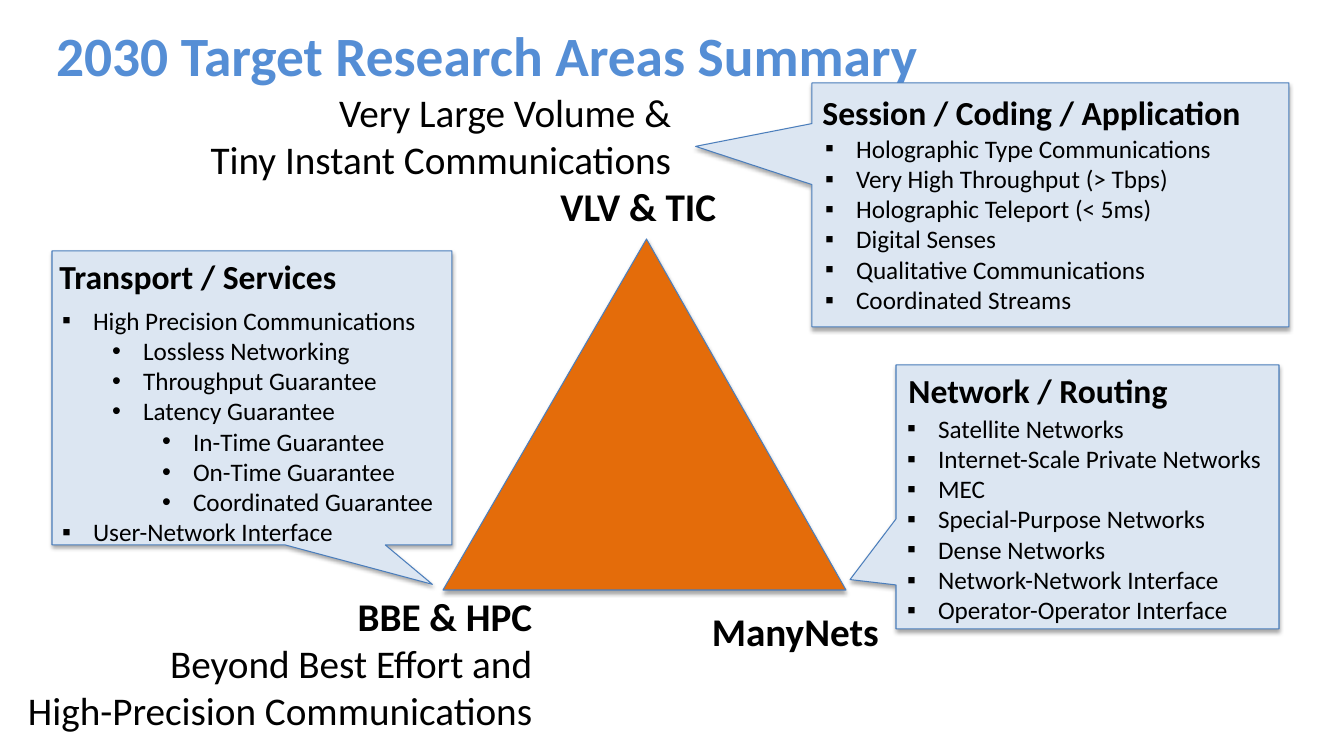
"""Build the 2030 target research areas slide."""
import dataclasses

import lxml.etree
import pptx
import pptx.dml.color
import pptx.enum.shapes
import pptx.enum.text
import pptx.oxml.ns
import pptx.util

EMU_PER_PX = 914400 / 100.8
ALIGN = pptx.enum.text.PP_ALIGN
SHAPE = pptx.enum.shapes.MSO_SHAPE
LIST_INDENT = 31
LEVEL_STEP = 50


@dataclasses.dataclass(frozen=True)
class Theme:
    """Colours, font and type sizes of the slide."""

    font: str = "Calibri"
    title: str = "558ED5"
    text: str = "000000"
    triangle: str = "E46C0A"
    callout: str = "DCE6F2"
    outline: str = "4B7EBC"
    title_size: float = 39.6
    corner_size: float = 28
    heading_size: float = 24
    list_size: float = 18


THEME = Theme()

AREAS = [
    {
        "heading": "Transport / Services",
        "heading_box": (48, 251, 300, 50),
        "callout_box": (52, 251, 400, 294),
        "tip": (0.451, 0.634),
        "list_box": (52, 300, 399, 234),
        "placeholder": 1,
        "items": [
            (0, "High Precision Communications"),
            (1, "Lossless Networking"),
            (1, "Throughput Guarantee"),
            (1, "Latency Guarantee"),
            (2, "In-Time Guarantee"),
            (2, "On-Time Guarantee"),
            (2, "Coordinated Guarantee"),
            (0, "User-Network Interface"),
        ],
    },
    {
        "heading": "Session / Coding / Application",
        "heading_box": (810, 87, 443, 50),
        "callout_box": (812, 83, 477, 244),
        "tip": (-0.744, -0.24),
        "list_box": (815, 128, 411, 187),
        "placeholder": 2,
        "items": [
            (0, "Holographic Type Communications"),
            (0, "Very High Throughput (> Tbps)"),
            (0, "Holographic Teleport (< 5ms)"),
            (0, "Digital Senses"),
            (0, "Qualitative Communications"),
            (0, "Coordinated Streams"),
        ],
    },
    {
        "heading": "Network / Routing",
        "heading_box": (897, 365, 282, 50),
        "callout_box": (896, 365, 383, 264),
        "tip": (-0.62, 0.313),
        "list_box": (897, 408, 379, 224),
        "placeholder": 4,
        "items": [
            (0, "Satellite Networks"),
            (0, "Internet-Scale Private Networks"),
            (0, "MEC"),
            (0, "Special-Purpose Networks"),
            (0, "Dense Networks"),
            (0, "Network-Network Interface"),
            (0, "Operator-Operator Interface"),
        ],
    },
]


def px(length):
    """Turn pixels into EMU."""
    return pptx.util.Emu(round(length * EMU_PER_PX))


def rgb(value):
    """Turn a hexadecimal value into a colour."""
    return pptx.dml.color.RGBColor.from_string(value)


def place(shape, box):
    """Move and size a shape to a pixel box."""
    shape.left, shape.top, shape.width, shape.height = map(px, box)


def format_paragraph(paragraph, size, bold=False, color=THEME.text, align=ALIGN.LEFT):
    """Format a paragraph and its runs."""
    paragraph.alignment = align
    paragraph.space_before = pptx.util.Pt(0)
    for run in paragraph.runs:
        run.font.name = THEME.font
        run.font.size = pptx.util.Pt(size)
        run.font.bold = bold
        run.font.color.rgb = rgb(color)


def set_title(slide, text, box):
    """Fill and format the title placeholder."""
    title = slide.shapes.title
    place(title, box)
    title.text_frame.text = text
    title.text_frame.vertical_anchor = pptx.enum.text.MSO_ANCHOR.MIDDLE
    title.text_frame.auto_size = pptx.enum.text.MSO_AUTO_SIZE.NONE
    format_paragraph(title.text_frame.paragraphs[0], THEME.title_size, True, THEME.title)


def add_shadow(shape):
    """Give a shape a soft shadow straight below it."""
    shape.shadow.inherit = False
    effects = shape.element.spPr.find(pptx.oxml.ns.qn("a:effectLst"))
    shadow = lxml.etree.SubElement(
        effects, pptx.oxml.ns.qn("a:outerShdw"),
        blurRad="39370", dist="23000", dir="5400000", rotWithShape="0")
    color = lxml.etree.SubElement(shadow, pptx.oxml.ns.qn("a:srgbClr"), val="000000")
    lxml.etree.SubElement(color, pptx.oxml.ns.qn("a:alpha"), val="35000")


def add_figure(slide, kind, box, fill, adjustments):
    """Add a filled, outlined and shadowed preset shape."""
    shape = slide.shapes.add_shape(kind, *map(px, box))
    for index, value in enumerate(adjustments):
        shape.adjustments[index] = value
    shape.fill.solid()
    shape.fill.fore_color.rgb = rgb(fill)
    shape.line.color.rgb = rgb(THEME.outline)
    shape.line.width = pptx.util.Pt(0.75)
    add_shadow(shape)


def add_label(slide, box, lines, size, align, wrap=True):
    """Add a text box from pairs of text and boldness."""
    text_frame = slide.shapes.add_textbox(*map(px, box)).text_frame
    text_frame.word_wrap = wrap
    text_frame.text = "\n".join(text for text, bold in lines)
    for paragraph, (text, bold) in zip(text_frame.paragraphs, lines):
        format_paragraph(paragraph, size, bold, align=align)


def set_bullet(paragraph, level):
    """Give a paragraph its level, hanging indent and bullet."""
    paragraph.level = level
    properties = paragraph._p.get_or_add_pPr()
    properties.set("marL", str(px(LIST_INDENT + LEVEL_STEP * level)))
    properties.set("indent", str(px(-LIST_INDENT)))
    bullet = lxml.etree.SubElement(properties, pptx.oxml.ns.qn("a:buChar"))
    bullet.set("char", "•" if level else "▪")


def set_list(slide, index, box, items):
    """Fill a body placeholder with a list and bring it to the front."""
    body = slide.placeholders[index]
    place(body, box)
    slide.shapes.element.append(body.element)
    text_frame = body.text_frame
    text_frame.word_wrap = True
    text_frame.auto_size = pptx.enum.text.MSO_AUTO_SIZE.NONE
    text_frame.vertical_anchor = pptx.enum.text.MSO_ANCHOR.TOP
    text_frame.text = "\n".join(text for level, text in items)
    for paragraph, (level, text) in zip(text_frame.paragraphs, items):
        format_paragraph(paragraph, THEME.list_size)
        set_bullet(paragraph, level)


def add_area(slide, area):
    """Add a callout with its list and heading."""
    add_figure(slide, SHAPE.RECTANGULAR_CALLOUT, area["callout_box"], THEME.callout, area["tip"])
    set_list(slide, area["placeholder"], area["list_box"], area["items"])
    add_label(slide, area["heading_box"], [(area["heading"], True)],
              THEME.heading_size, ALIGN.CENTER, wrap=False)


def main():
    """Build and save the presentation."""
    presentation = pptx.Presentation()
    presentation.slide_width, presentation.slide_height = px(1344), px(756)
    slide = presentation.slides.add_slide(presentation.slide_layouts.get_by_name("Comparison"))
    set_title(slide, "2030 Target Research Areas Summary", (46, 0, 974, 108))
    add_figure(slide, SHAPE.ISOSCELES_TRIANGLE, (443, 239, 403, 351), THEME.triangle, [0.505])
    corners = [
        ((-11, 587, 553, 152), ALIGN.RIGHT, [("BBE & HPC", True), ("Beyond Best Effort and", False),
                                             ("High-Precision Communications", False)]),
        ((702, 602, 201, 57), ALIGN.LEFT, [("ManyNets", True)]),
        ((195, 83, 486, 105), ALIGN.RIGHT, [("Very Large Volume &", False),
                                            ("Tiny Instant Communications", False)]),
        ((526, 177, 200, 57), ALIGN.RIGHT, [("VLV & TIC", True)]),
    ]
    for box, align, lines in corners:
        add_label(slide, box, lines, THEME.corner_size, align)
    for area in AREAS:
        add_area(slide, area)
    for placeholder in list(slide.placeholders):
        if not placeholder.text_frame.text:
            slide.shapes.element.remove(placeholder.element)
    presentation.save("out.pptx")


if __name__ == "__main__":
    main()
